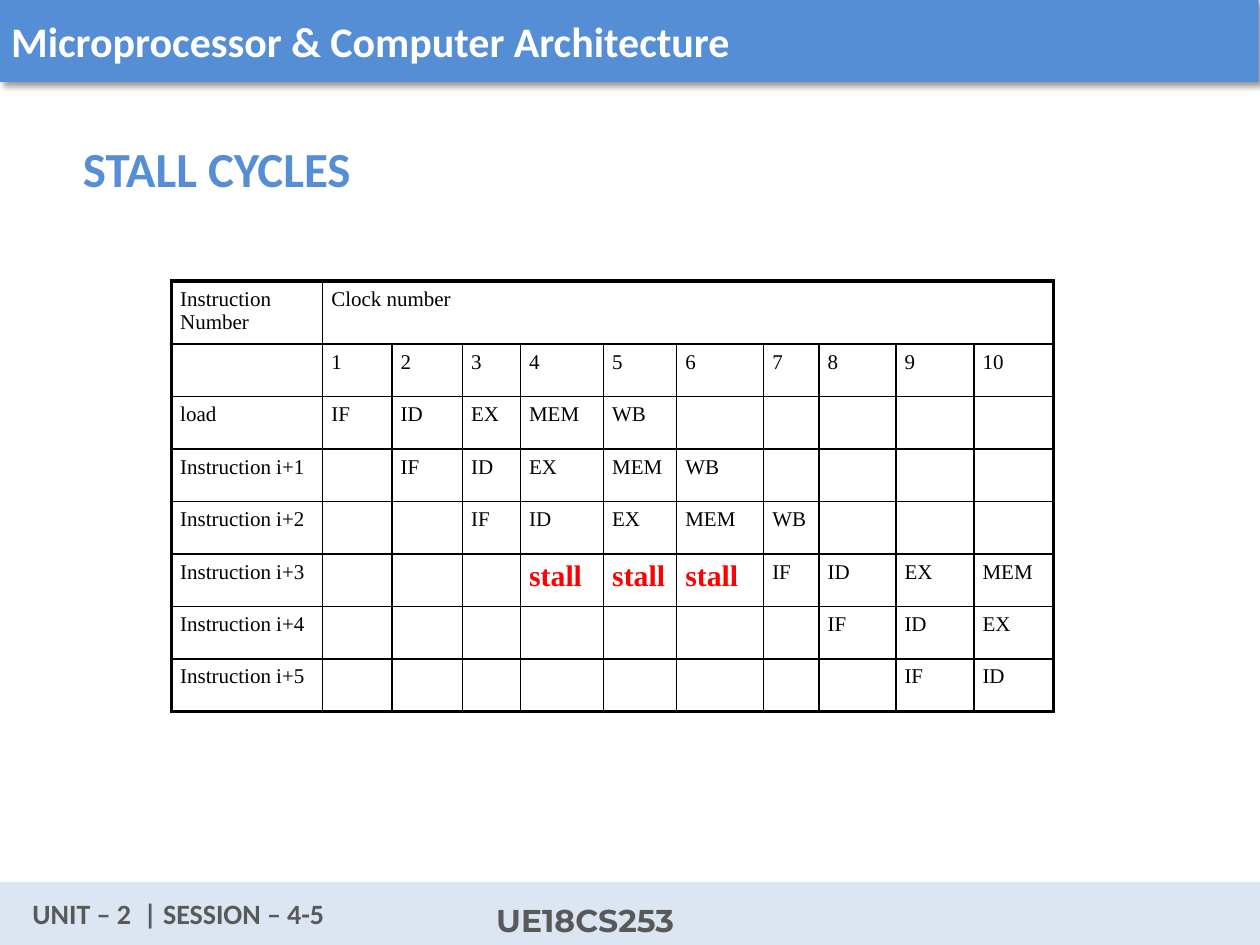
from dataclasses import dataclass

import pptx
import pptx.dml.color
import pptx.enum.shapes
import pptx.enum.text
import pptx.oxml
import pptx.oxml.ns
import pptx.util
from pptx.util import Pt

RGBColor = pptx.dml.color.RGBColor
MSO_ANCHOR = pptx.enum.text.MSO_ANCHOR

BLUE = RGBColor(0x55, 0x8E, 0xD5)
PALE_BLUE = RGBColor(0xDC, 0xE6, 0xF2)
GREY = RGBColor(0x59, 0x59, 0x59)
WHITE = RGBColor(0xFF, 0xFF, 0xFF)
BLACK = RGBColor(0x00, 0x00, 0x00)
RED = RGBColor(0xFF, 0x00, 0x00)

CYCLES = 10
STAGES = ["IF", "ID", "EX", "MEM", "WB"]
COLUMN_WIDTHS = [86.4, 39.6, 40.3, 33.1, 47.5, 41.8, 49.7, 31.7, 43.9, 44.6, 45.4]
HEADER_HEIGHT, ROW_HEIGHT = 36, 30
THIN, THICK = 0.96, 2.21


@dataclass(frozen=True)
class Style:
    size: float
    font: str
    color: RGBColor
    bold: bool = True


@dataclass(frozen=True)
class Label:
    text: str
    left: float
    top: float
    width: float
    height: float
    style: Style
    wrap: bool = False
    anchor: MSO_ANCHOR = MSO_ANCHOR.TOP


@dataclass(frozen=True)
class Instruction:
    name: str
    first_cycle: int
    stalls: int = 0

    def cells(self) -> list[str]:
        """Name, idle cycles, stalls and stages, cut off at the last clock cycle."""
        idle = [""] * (self.first_cycle - 1)
        timeline = idle + ["stall"] * self.stalls + STAGES + [""] * CYCLES
        return [self.name] + timeline[:CYCLES]


CELL_STYLE = Style(12, "Times New Roman", BLACK, bold=False)
STALL_STYLE = Style(17, "Times New Roman", RED)

LABELS = [
    Label("UNIT – 2  | SESSION – 4-5", 11.5, 509, 235.4, 26, Style(16, "Calibri", GREY)),
    Label("UE18CS253", 276.5, 511.2, 129.6, 28.8, Style(18, "Montserrat", GREY)),
    Label("STALL CYCLES", 40.3, 74.2, 639.4, 43.9, Style(28, "Calibri", BLUE),
          wrap=True, anchor=MSO_ANCHOR.MIDDLE),
]

INSTRUCTIONS = [
    Instruction("load", 1),
    Instruction("Instruction i+1", 2),
    Instruction("Instruction i+2", 3),
    Instruction("Instruction i+3", 4, stalls=3),
    Instruction("Instruction i+4", 8),
    Instruction("Instruction i+5", 9),
]


def write(frame, text: str, style: Style) -> None:
    paragraph = frame.paragraphs[0]
    paragraph.text = text
    paragraph.alignment = pptx.enum.text.PP_ALIGN.LEFT
    paragraph.font.size = Pt(style.size)
    paragraph.font.name = style.font
    paragraph.font.bold = style.bold
    paragraph.font.color.rgb = style.color


def add_band(slide, left: float, top: float, height: float, color: RGBColor):
    band = slide.shapes.add_shape(pptx.enum.shapes.MSO_SHAPE.RECTANGLE,
                                  Pt(left), Pt(top), Pt(720), Pt(height))
    band.shadow.inherit = False
    band.fill.solid()
    band.fill.fore_color.rgb = color
    band.line.fill.background()
    return band


def add_drop_shadow(shape) -> None:
    effects = shape._element.spPr.find(pptx.oxml.ns.qn("a:effectLst"))
    effects.append(pptx.oxml.parse_xml(
        f'<a:outerShdw {pptx.oxml.ns.nsdecls("a")} blurRad="{Pt(4)}" dist="{Pt(3)}" '
        'dir="2700000" algn="tl" rotWithShape="0">'
        '<a:srgbClr val="000000"><a:alpha val="40000"/></a:srgbClr></a:outerShdw>'))


def add_label(slide, label: Label) -> None:
    box = slide.shapes.add_textbox(Pt(label.left), Pt(label.top),
                                   Pt(label.width), Pt(label.height))
    box.text_frame.word_wrap = label.wrap
    box.text_frame.vertical_anchor = label.anchor
    write(box.text_frame, label.text, label.style)


def set_borders(cell, widths: dict[str, float]) -> None:
    properties = cell._tc.get_or_add_tcPr()
    for position, (side, width) in enumerate(widths.items()):
        properties.insert(position, pptx.oxml.parse_xml(
            f'<a:ln{side} {pptx.oxml.ns.nsdecls("a")} w="{Pt(width)}">'
            f'<a:solidFill><a:srgbClr val="{BLACK}"/></a:solidFill></a:ln{side}>'))


def add_pipeline_table(slide, rows: list[list[str]]) -> None:
    last_row, last_column = len(rows) - 1, CYCLES
    height = HEADER_HEIGHT + ROW_HEIGHT * last_row
    table = slide.shapes.add_table(len(rows), CYCLES + 1, Pt(98), Pt(160.6),
                                   Pt(sum(COLUMN_WIDTHS)), Pt(height)).table
    table.first_row = table.horz_banding = False
    for column, width in zip(table.columns, COLUMN_WIDTHS):
        column.width = Pt(width)
    for r, texts in enumerate(rows):
        table.rows[r].height = Pt(ROW_HEIGHT if r else HEADER_HEIGHT)
        for c, text in enumerate(texts):
            cell = table.cell(r, c)
            cell.margin_left = cell.margin_right = Pt(5)
            cell.margin_top = cell.margin_bottom = Pt(3.6)
            cell.fill.background()
            write(cell.text_frame, text, STALL_STYLE if text == "stall" else CELL_STYLE)
            set_borders(cell, {
                "L": THICK if c == 0 else THIN,
                "R": THICK if c == last_column or (r == 0 and c == 1) else THIN,
                "T": THICK if r == 0 else THIN,
                "B": THICK if r == last_row else THIN,
            })
    table.cell(0, 1).merge(table.cell(0, last_column))


def main() -> None:
    deck = pptx.Presentation()
    deck.slide_width, deck.slide_height = Pt(720), Pt(540)
    slide = deck.slides.add_slide(deck.slide_layouts[6])

    # Course header and footer strip
    header = add_band(slide, -0.7, -0.7, 47.5, BLUE)
    header.text_frame.word_wrap = True
    header.text_frame.vertical_anchor = MSO_ANCHOR.MIDDLE
    write(header.text_frame, "Microprocessor & Computer Architecture",
          Style(24, "Calibri", WHITE))
    add_drop_shadow(header)
    add_band(slide, 0, 504, 36, PALE_BLUE)

    # Pipeline timing
    clock_rows = [
        ["Instruction Number", "Clock number"] + [""] * (CYCLES - 1),
        [""] + [str(cycle) for cycle in range(1, CYCLES + 1)],
    ]
    add_pipeline_table(slide, clock_rows + [step.cells() for step in INSTRUCTIONS])

    # Title and footer labels
    for label in LABELS:
        add_label(slide, label)

    deck.save("out.pptx")


if __name__ == "__main__":
    main()
